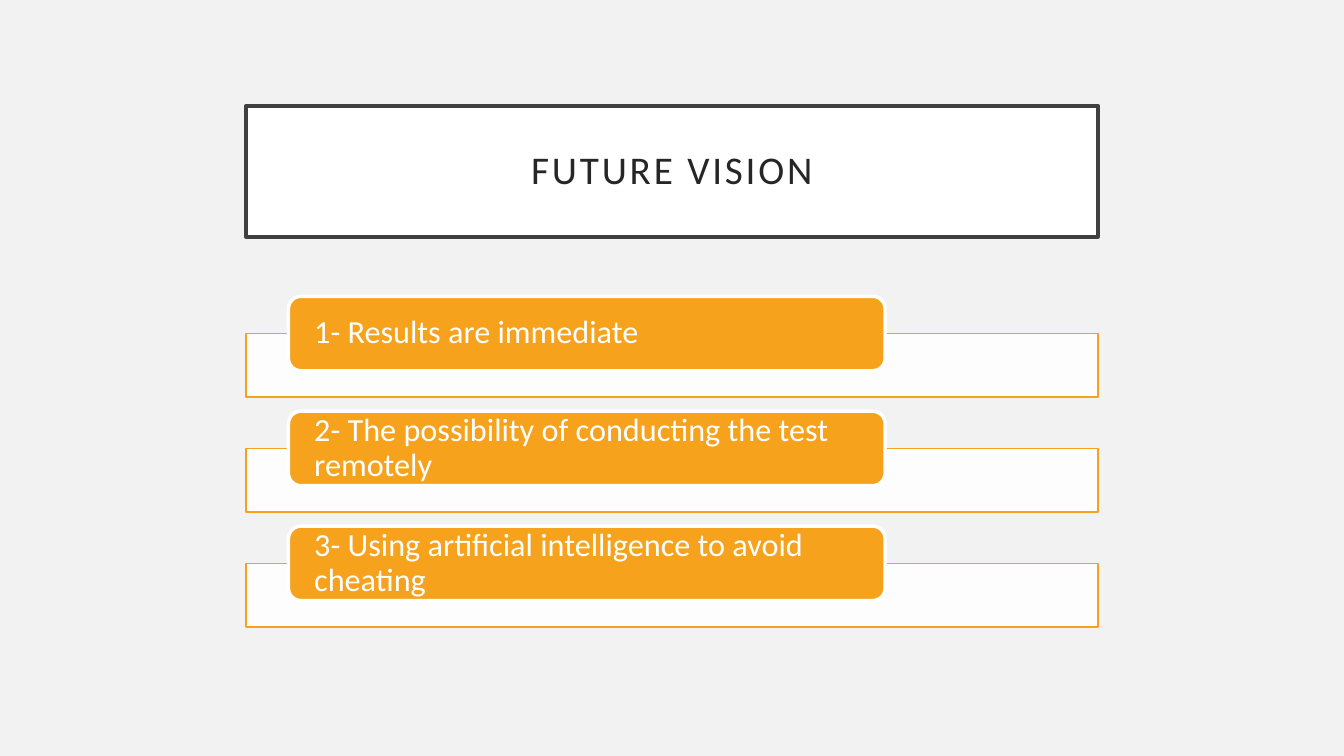
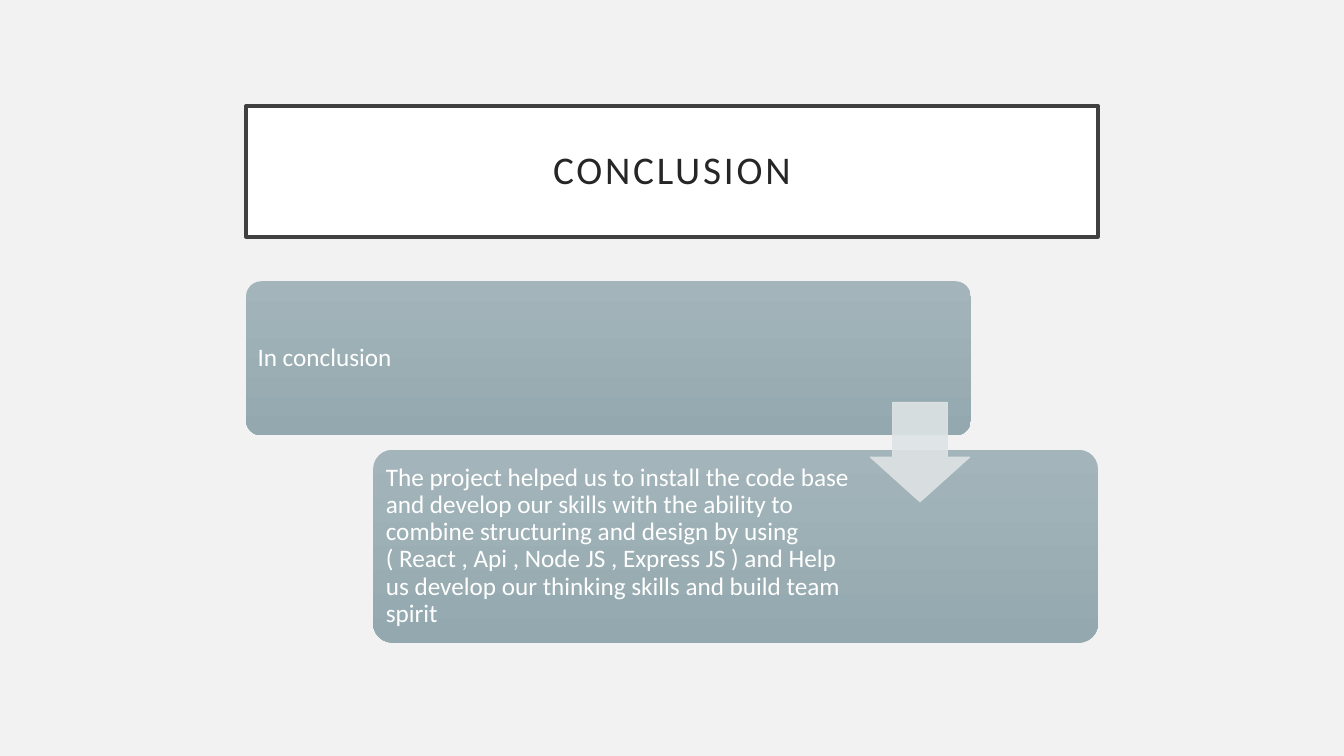
from dataclasses import dataclass

from lxml.etree import SubElement
from pptx import Presentation
from pptx.dml.color import RGBColor
from pptx.enum.shapes import MSO_SHAPE
from pptx.enum.text import MSO_ANCHOR, MSO_AUTO_SIZE, PP_ALIGN
from pptx.oxml.ns import qn
from pptx.util import Inches, Pt


@dataclass(frozen=True)
class Theme:
    font: str = "Calibri"
    page: str = "F2F2F2"
    white: str = "FFFFFF"
    ink: str = "262626"
    frame: str = "404040"
    accent: str = "F6A21D"
    light: str = "A3B5BB"
    dark: str = "93A9AF"
    arrow: str = "DEE3E5"
    head: int = 28
    item: int = 23
    body: int = 18


THEME = Theme()

# Shares of the slide's size, in percent.
LEFT, WIDTH = 18.3, 63.4
TITLE = (LEFT, 14, WIDTH, 17.33)
STEP = 15.2
CARD = 53.94


def paint(fill, color, alpha=100):
    """Fill with one colour; alpha is the opacity in percent."""
    fill.solid()
    fill.fore_color.rgb = RGBColor.from_string(color)
    if alpha < 100:
        tint = fill._xPr.find(qn("a:solidFill"))[0]
        SubElement(tint, qn("a:alpha"), val=str(alpha * 1000))


def write(shape, text, size, color=THEME.white, align=PP_ALIGN.LEFT,
          inset=(0, 0, 0, 0), track=0):
    """Set formatted text; inset is left, top, right, bottom in inches."""
    frame = shape.text_frame
    frame.word_wrap = True
    frame.auto_size = MSO_AUTO_SIZE.NONE
    frame.vertical_anchor = MSO_ANCHOR.MIDDLE
    (frame.margin_left, frame.margin_top,
     frame.margin_right, frame.margin_bottom) = map(Inches, inset)
    para = frame.paragraphs[0]
    para.alignment = align
    para.line_spacing = 0.9
    run = para.add_run()
    run.text = text
    font = run.font
    font.name, font.size = THEME.font, Pt(size)
    font.color.rgb = RGBColor.from_string(color)
    if track:
        run._r.get_or_add_rPr().set("spc", str(track * 100))


class Deck:
    def __init__(self):
        self.file = Presentation()
        self.file.slide_width = Inches(13.33)
        self.file.slide_height = Inches(7.5)
        paint(self.file.slide_master.background.fill, THEME.page)
        self.slide = None

    def box(self, x, y, w, h):
        """Turn percent shares into slide lengths."""
        wide, high = self.file.slide_width, self.file.slide_height
        return [int(share * side / 100) for share, side in
                ((x, wide), (y, high), (w, wide), (h, high))]

    def page(self, title):
        self.slide = self.file.slides.add_slide(self.file.slide_layouts[5])
        head = self.slide.shapes.title
        head.left, head.top, head.width, head.height = self.box(*TITLE)
        paint(head.fill, THEME.white)
        self.edge(head, THEME.frame, 2.5)
        write(head, title, THEME.head, color=THEME.ink,
              align=PP_ALIGN.CENTER, inset=(0.2,) * 4, track=2)

    def edge(self, shape, color, width, alpha=100):
        paint(shape.line.fill, color, alpha)
        shape.line.width = Pt(width)

    def shape(self, kind, area, adjust=()):
        shape = self.slide.shapes.add_shape(kind, *self.box(*area))
        shape.shadow.inherit = False
        for index, value in enumerate(adjust):
            shape.adjustments[index] = value
        return shape

    def item(self, row, text):
        """Draw a pale band with a labelled tab over its upper edge."""
        shift = row * STEP
        band = self.shape(MSO_SHAPE.RECTANGLE,
                          (LEFT, 44.13 + shift, WIDTH, 8.4))
        paint(band.fill, THEME.white, 90)
        self.edge(band, THEME.accent, 1)
        tab = self.shape(MSO_SHAPE.ROUNDED_RECTANGLE,
                         (21.46, 39.2 + shift, 44.4, 9.85))
        paint(tab.fill, THEME.accent)
        self.edge(tab, THEME.white, 2.5)
        write(tab, text, THEME.item, inset=(0.22, 0, 0.22, 0))

    def card(self, x, y, h, text, right):
        """Draw a shaded card; right is its right text margin in inches."""
        card = self.shape(MSO_SHAPE.ROUNDED_RECTANGLE, (x, y, CARD, h), (0.1,))
        card.fill.gradient()
        card.fill.gradient_angle = 270
        for stop, color in zip(card.fill.gradient_stops,
                               (THEME.light, THEME.dark)):
            stop.color.rgb = RGBColor.from_string(color)
        card.line.fill.background()
        write(card, text, THEME.body, inset=(0.07, 0.07, right, 0.07))

    def arrow(self, *area):
        arrow = self.shape(MSO_SHAPE.DOWN_ARROW, area, (0.55, 0.45))
        paint(arrow.fill, THEME.arrow, 90)
        self.edge(arrow, THEME.arrow, 0.5, 90)


def main():
    deck = Deck()

    deck.page("FUTURE VISION")
    for row, text in enumerate((
            "1- Results are immediate",
            "2- The possibility of conducting the test remotely",
            "3- Using artificial intelligence to avoid cheating")):
        deck.item(row, text)

    deck.page("CONCLUSION")
    deck.card(LEFT, 37.2, 20.4, "In conclusion", right=1.57)
    deck.card(LEFT + WIDTH - CARD, 59.5, 25.5,
              "The project helped us to install the code base and develop "
              "our skills with the ability to combine structuring and design "
              "by using ( React , Api , Node JS , Express JS ) and Help us "
              "develop our thinking skills and build team spirit", right=2.35)
    deck.arrow(64.74, 53.2, 7.43, 13.2)

    deck.file.save("out.pptx")


if __name__ == "__main__":
    main()
